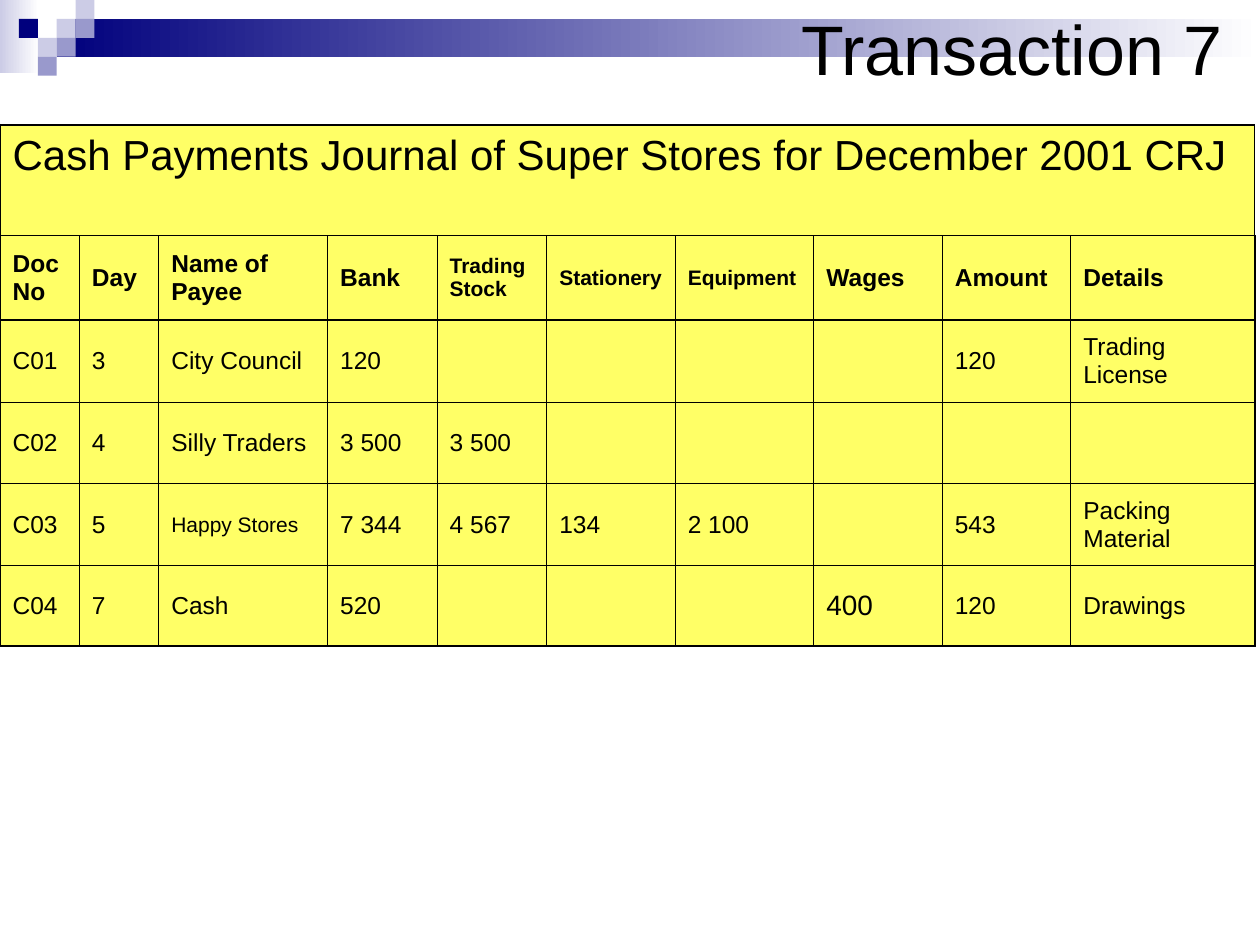
from lxml import etree
from pptx import Presentation, util as u
from pptx.dml.color import RGBColor
from pptx.enum import shapes, text
from pptx.oxml.ns import qn

COLORS = {"ink": "000000", "paper": "FFFFFF", "cell": "FFFF66",
          "navy": "00007D", "mid": "9999CC", "pale": "CCCCE6"}
FONT = "Arial"
WIDTH, HEIGHT = 10, 7.5
MODULE = 0.15  # side of one square in the corner pattern
SQUARES = [(3, 1, "pale"), (4, 0, "pale"), (4, 1, "mid"), (2, 2, "pale"),
           (1, 1, "navy"), (3, 2, "mid"), (2, 3, "mid")]

JOURNAL = "Cash Payments Journal of Super Stores for December 2001 CRJ"
HEADINGS = ["Doc No", "Day", "Name of Payee", "Bank", "Trading Stock",
            "Stationery", "Equipment", "Wages", "Amount", "Details"]
ENTRIES = [
    ["C01", "3", "City Council", "120", "", "", "", "", "120", "Trading License"],
    ["C02", "4", "Silly Traders", "3 500", "3 500", "", "", "", "", ""],
    ["C03", "5", "Happy Stores", "7 344", "4 567", "134", "2 100", "", "543",
     "Packing Material"],
    ["C04", "7", "Cash", "520", "", "", "", "400", "120", "Drawings"],
]
COLUMNS = [0.63, 0.63, 1.34, 0.87, 0.87, 1.02, 1.1, 1.02, 1.02, 1.46]
ROWS = [0.88, 0.67, 0.65, 0.65, 0.65, 0.64]
SIZES = {"Trading Stock": 12, "Stationery": 12, "Equipment": 12,
         "Happy Stores": 12, "400": 16}
THIN, OUTER, HEAD_RULE = 0.45, 1.08, 1.47


def rgb(name):
    return RGBColor.from_string(COLORS[name])


def write(tf, words, size=14, bold=False, color="ink", align=text.PP_ALIGN.LEFT):
    p = tf.paragraphs[0]
    p.alignment = align
    r = p.add_run()
    r.text = words
    r.font.name, r.font.size, r.font.bold = FONT, u.Pt(size), bold
    r.font.color.rgb = rgb(color)


def add_block(s, box, *colors):
    """Add a borderless rectangle, plain or fading from right to left."""
    sp = s.shapes.add_shape(shapes.MSO_SHAPE.RECTANGLE, *map(u.Inches, box))
    sp.shadow.inherit = False
    sp.line.fill.background()
    if len(colors) == 1:
        sp.fill.solid()
        sp.fill.fore_color.rgb = rgb(colors[0])
    else:
        sp.fill.gradient()
        sp.fill.gradient_angle = 180
        for stop, position, color in zip(sp.fill.gradient_stops, (0, 1), colors):
            stop.position, stop.color.rgb = position, rgb(color)
    return sp


def add_banner(s, left, top, width):
    add_block(s, (left, top, 0.31, 0.58), "paper", "pale")
    start = left + 3 * MODULE
    add_block(s, (start, top + MODULE, left + width - start, 2 * MODULE),
              "paper", "navy")
    for col, row, color in SQUARES:
        last = add_block(s, (left + col * MODULE, top + row * MODULE,
                             MODULE, MODULE), color)
    return last


def place_title(s, words, box, below):
    """Fill the title placeholder and stack it just above the shape below."""
    title = s.shapes.title
    title.left, title.top, title.width, title.height = map(u.Inches, box)
    tf = title.text_frame
    tf.word_wrap = True
    tf.auto_size = text.MSO_AUTO_SIZE.NONE
    tf.vertical_anchor = text.MSO_ANCHOR.MIDDLE
    write(tf, words, size=40)
    below.element.addnext(title.element)


def set_borders(cell, **widths):
    tc_pr = cell._tc.get_or_add_tcPr()
    for side in "LRTB":
        ln = etree.SubElement(tc_pr, qn(f"a:ln{side}"), w=str(u.Pt(widths[side])))
        fill = etree.SubElement(ln, qn("a:solidFill"))
        etree.SubElement(fill, qn("a:srgbClr"), val=COLORS["ink"])


def add_journal(s, left, top, width, height):
    n_rows, n_cols = len(ROWS), len(COLUMNS)
    table = s.shapes.add_table(n_rows, n_cols, *map(
        u.Inches, (left, top, width, height))).table
    table.horz_banding = table.first_row = False
    for column, share in zip(table.columns, COLUMNS):
        column.width = u.Inches(width * share / sum(COLUMNS))
    for row, share in zip(table.rows, ROWS):
        row.height = u.Inches(height * share / sum(ROWS))

    lines = [[JOURNAL] + [""] * (n_cols - 1), HEADINGS] + ENTRIES
    across = {0: OUTER, 2: HEAD_RULE, n_rows: OUTER}
    down = {0: OUTER, n_cols: OUTER}
    for i, line in enumerate(lines):
        for j, words in enumerate(line):
            cell = table.cell(i, j)
            set_borders(cell, L=down.get(j, THIN), R=down.get(j + 1, THIN),
                        T=across.get(i, THIN), B=across.get(i + 1, THIN))
            cell.fill.solid()
            cell.fill.fore_color.rgb = rgb("cell")
            cell.vertical_anchor = text.MSO_ANCHOR.MIDDLE
            if words:
                write(cell.text_frame, words, bold=i == 1,
                      size=24 if i == 0 else SIZES.get(words, 14))
    heading = table.cell(0, 0)
    heading.merge(table.cell(0, n_cols - 1))
    heading.vertical_anchor = text.MSO_ANCHOR.TOP
    heading.margin_top = u.Inches(0.06)


def main():
    prs = Presentation()
    prs.slide_width, prs.slide_height = u.Inches(WIDTH), u.Inches(HEIGHT)
    s = prs.slides.add_slide(prs.slide_layouts[5])
    banner = add_banner(s, 0, 0, WIDTH)
    place_title(s, "Transaction 7", (6.26, 0, WIDTH - 6.26, 0.76), banner)
    add_journal(s, 0, 0.99, sum(COLUMNS), sum(ROWS))
    prs.save("out.pptx")


if __name__ == "__main__":
    main()
